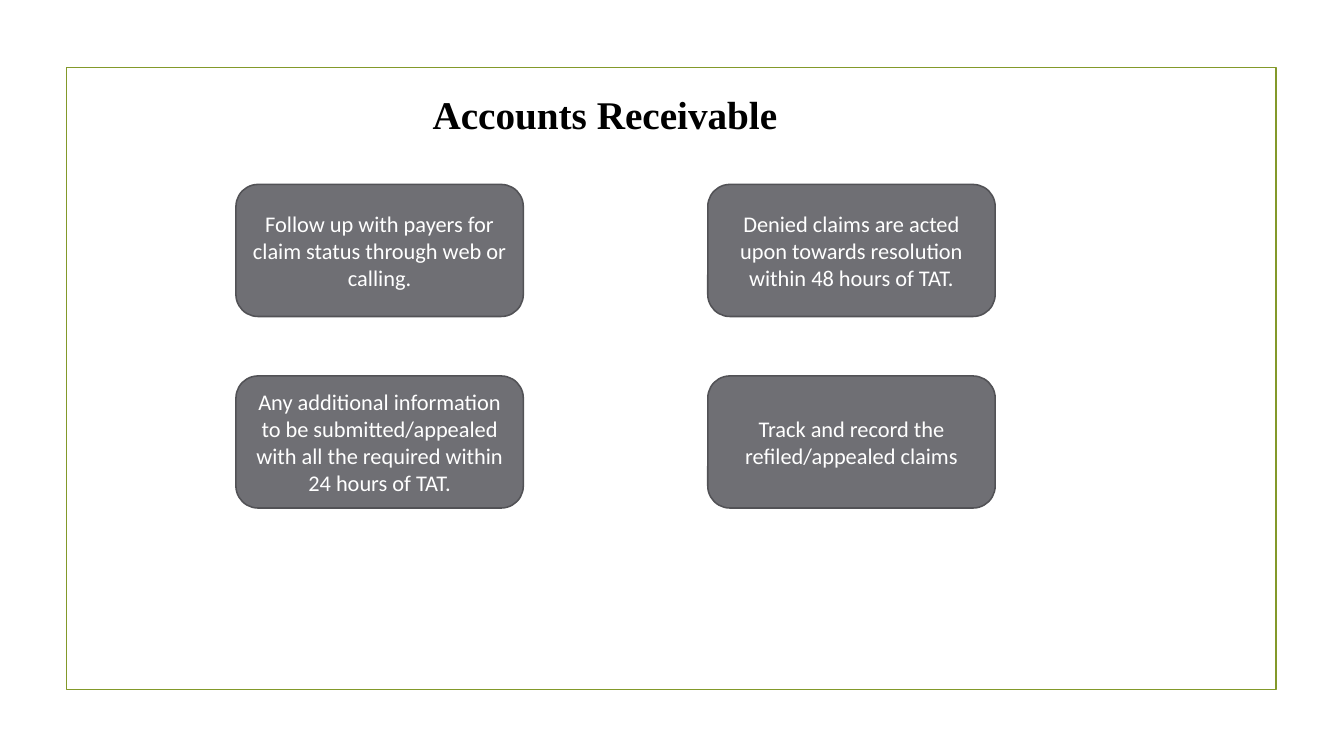
from dataclasses import dataclass

from pptx import Presentation
from pptx.dml.color import RGBColor
from pptx.enum.shapes import MSO_SHAPE as Shape
from pptx.enum.text import MSO_ANCHOR as Anchor, MSO_AUTO_SIZE as AutoSize, PP_ALIGN as Align
from pptx.util import Inches, Pt


@dataclass(frozen=True)
class Theme:
    frame: RGBColor = RGBColor.from_string("83992A")
    card: RGBColor = RGBColor.from_string("6F6F74")
    card_line: RGBColor = RGBColor.from_string("525256")
    card_text: RGBColor = RGBColor.from_string("FFFFFF")
    title_text: RGBColor = RGBColor.from_string("000000")
    title_font: str = "Times New Roman"
    body_font: str = "Calibri"
    title_size: int = 28
    body_size: int = 16


THEME = Theme()
CARDS = [
    "Follow up with payers for claim status through web or calling.",
    "Denied claims are acted upon towards resolution within 48 hours of TAT.",
    "Any additional information to be submitted/appealed with all the required within 24 hours of TAT.",
    "Track and record the refiled/appealed claims",
]
COLUMNS = 2
CARD_LEFT, CARD_TOP = 2.34, 1.83
CARD_WIDTH, CARD_HEIGHT = 2.85, 1.31
COLUMN_STEP, ROW_STEP = 4.68, 1.9


def write_text(tf, text, *, font, size, color, bold=False,
               align=Align.LEFT, anchor=Anchor.MIDDLE, line_spacing=1.0):
    tf.word_wrap = True
    tf.auto_size = AutoSize.NONE
    tf.vertical_anchor = anchor
    p = tf.paragraphs[0]
    p.alignment = align
    p.line_spacing = line_spacing
    p.space_before = Pt(0)
    r = p.add_run()
    r.text = text
    r.font.name = font
    r.font.size = Pt(size)
    r.font.bold = bold
    r.font.color.rgb = color


def add_box(s, kind, left, top, width, height, *, line, line_width, fill=None):
    sp = s.shapes.add_shape(kind, Inches(left), Inches(top), Inches(width), Inches(height))
    sp.shadow.inherit = False
    if fill is None:
        sp.fill.background()
    else:
        sp.fill.solid()
        sp.fill.fore_color.rgb = fill
    sp.line.color.rgb = line
    sp.line.width = Pt(line_width)
    return sp


def add_card(s, index, text):
    row, column = divmod(index, COLUMNS)
    sp = add_box(s, Shape.ROUNDED_RECTANGLE,
                 CARD_LEFT + column * COLUMN_STEP, CARD_TOP + row * ROW_STEP,
                 CARD_WIDTH, CARD_HEIGHT,
                 line=THEME.card_line, line_width=1.1, fill=THEME.card)
    write_text(sp.text_frame, text, font=THEME.body_font, size=THEME.body_size,
               color=THEME.card_text, align=Align.CENTER)


def set_title(s, text):
    title = s.shapes.title
    title.left, title.top = Inches(3.99), Inches(0.61)
    title.width, title.height = Inches(6.06), Inches(0.72)
    title.text_frame.margin_left = Inches(0.3)
    write_text(title.text_frame, text, font=THEME.title_font, size=THEME.title_size,
               color=THEME.title_text, bold=True, anchor=Anchor.TOP, line_spacing=1.5)


def main():
    prs = Presentation()
    prs.slide_width, prs.slide_height = Inches(13.33), Inches(7.5)
    s = prs.slides.add_slide(prs.slide_layouts.get_by_name("Title Only"))
    set_title(s, "Accounts Receivable")
    add_box(s, Shape.RECTANGLE, 0.66, 0.67, 12, 6.17, line=THEME.frame, line_width=1.25)
    for index, text in enumerate(CARDS):
        add_card(s, index, text)
    prs.save("out.pptx")


if __name__ == "__main__":
    main()
